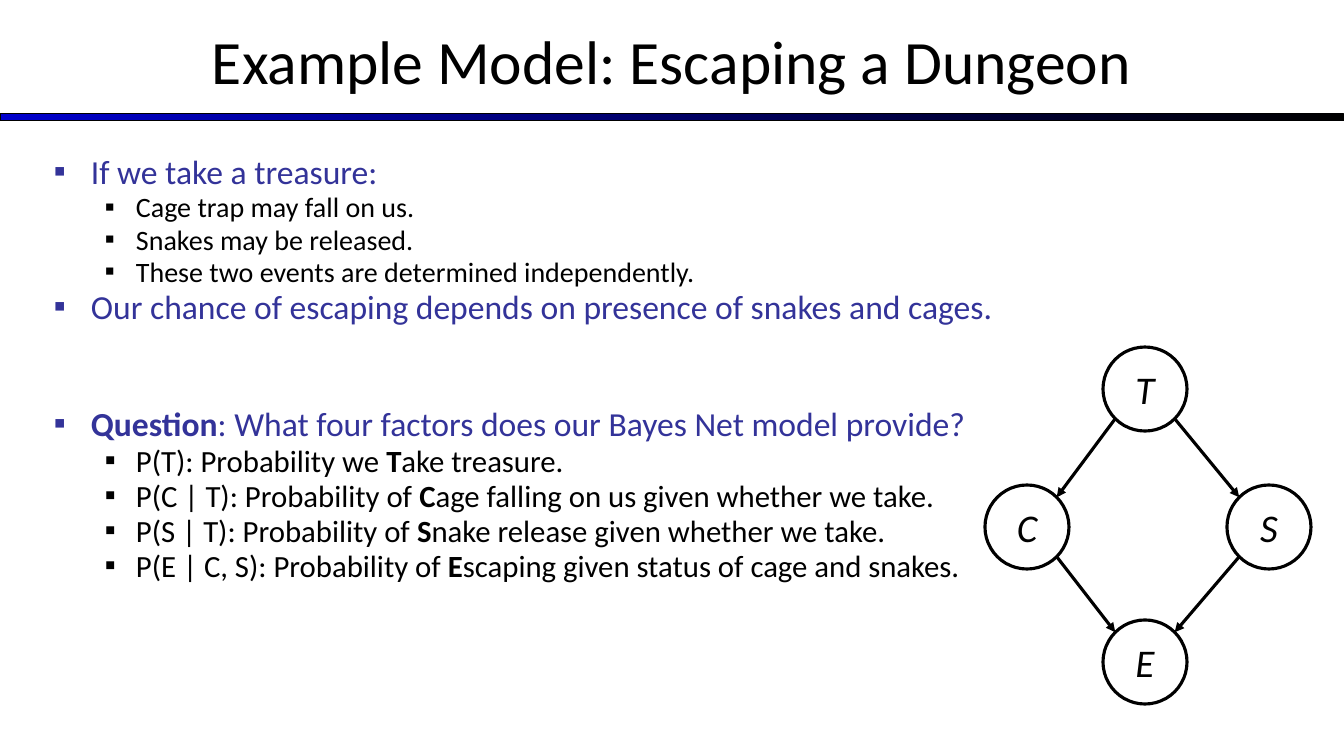
from dataclasses import dataclass
from math import sqrt

from lxml.etree import SubElement
from pptx import Presentation
from pptx.dml.color import RGBColor
from pptx.enum.shapes import MSO_CONNECTOR, MSO_SHAPE
from pptx.enum.text import MSO_ANCHOR, PP_ALIGN
from pptx.oxml.ns import qn
from pptx.util import Pt

TITLE = "Example Model: Escaping a Dungeon"
BULLETS = [
    ("point", ["If we take a treasure:"]),
    ("event", ["Cage trap may fall on us."]),
    ("event", ["Snakes may be released."]),
    ("event", ["These two events are determined independently."]),
    ("point", ["Our chance of escaping depends on presence of snakes and cages."]),
    ("question", ["", "Question", ": What four factors does our Bayes Net model provide?"]),
    ("factor", ["P(T): Probability we ", "T", "ake treasure."]),
    ("factor", ["P(C | T): Probability of ", "C", "age falling on us given whether we take."]),
    ("factor", ["P(S | T): Probability of ", "S", "nake release given whether we take."]),
    ("factor", ["P(E | C, S): Probability of ", "E", "scaping given status of cage and snakes."]),
]
NODES = {"E": (1145, 662), "T": (1145, 389), "S": (1269, 527), "C": (1027, 527)}
EDGES = ["TS", "TC", "CE", "SE"]
NODE_SIZE = 84


@dataclass(frozen=True)
class Theme:
    font: str = "Calibri"
    black: RGBColor = RGBColor(0, 0, 0)
    white: RGBColor = RGBColor(255, 255, 255)
    blue: RGBColor = RGBColor(0, 0, 0xCC)
    indigo: RGBColor = RGBColor(0x33, 0x33, 0x99)
    title: int = 44
    node: int = 28
    line: float = 2.25


THEME = Theme()
STYLES = {
    "point": dict(level=0, size=24, color=THEME.indigo, margin=37, hang=37, before=4.5),
    "question": dict(level=0, size=24, color=THEME.indigo, margin=37, hang=37, before=60.5),
    "event": dict(level=1, size=20, color=THEME.black, margin=82, hang=31, before=3.75),
    "factor": dict(level=1, size=22, color=THEME.black, margin=82, hang=31, before=4),
}


def px(value):
    return round(value * 914400 / 100.8)


def assign(target, **values):
    for name, value in values.items():
        setattr(target, name, value)


def write(para, text, size, color, **extra):
    span = para.add_run()
    span.text = text
    assign(span.font, name=THEME.font, size=Pt(size), **extra)
    span.font.color.rgb = color


def place(shape, left, top, width, height):
    assign(shape, left=px(left), top=px(top), width=px(width), height=px(height))


def add_bar(page):
    bar = page.shapes.add_shape(MSO_SHAPE.RECTANGLE, 0, px(114), px(1344), px(7))
    bar.shadow.inherit = False
    bar.fill.gradient()
    bar.fill.gradient_angle = 0
    for stop, color in zip(bar.fill.gradient_stops, (THEME.blue, THEME.black)):
        stop.color.rgb = color
    bar.line.color.rgb = THEME.black
    bar.line.width = Pt(0.75)


def add_title(page):
    title = page.shapes.title
    place(title, 0, -3, 1344, 126)
    assign(title.text_frame, vertical_anchor=MSO_ANCHOR.MIDDLE, word_wrap=True)
    para = title.text_frame.paragraphs[0]
    para.alignment = PP_ALIGN.CENTER
    write(para, TITLE, THEME.title, THEME.black)


def add_node(page, name, center):
    left, top = (value - NODE_SIZE / 2 for value in center)
    node = page.shapes.add_shape(
        MSO_SHAPE.OVAL, px(left), px(top), px(NODE_SIZE), px(NODE_SIZE))
    node.shadow.inherit = False
    node.fill.solid()
    node.fill.fore_color.rgb = THEME.white
    node.line.color.rgb = THEME.black
    node.line.width = Pt(THEME.line)
    assign(node.text_frame, vertical_anchor=MSO_ANCHOR.MIDDLE, word_wrap=False)
    para = node.text_frame.paragraphs[0]
    para.alignment = PP_ALIGN.CENTER
    write(para, name, THEME.node, THEME.black, italic=True)


def add_edge(page, parent, child):
    (x1, y1), (x2, y2) = NODES[parent], NODES[child]
    reach = NODE_SIZE / 2 / sqrt(2)
    side = reach if x2 > x1 else -reach
    edge = page.shapes.add_connector(
        MSO_CONNECTOR.STRAIGHT,
        px(x1 + side), px(y1 + reach), px(x2 - side), px(y2 - reach))
    edge.line.color.rgb = THEME.black
    edge.line.width = Pt(THEME.line)
    SubElement(edge.line._get_or_add_ln(), qn("a:tailEnd"), type="triangle")
    SubElement(edge._element.spPr, qn("a:effectLst"))


def add_bullet(para, style):
    props = para._p.get_or_add_pPr()
    props.set("marL", str(px(style["margin"])))
    props.set("indent", str(-px(style["hang"])))
    color = SubElement(props, qn("a:buClr"))
    SubElement(color, qn("a:srgbClr"), val=str(style["color"]))
    SubElement(props, qn("a:buFont"), typeface=THEME.font)
    SubElement(props, qn("a:buChar"), char="▪")


def add_body(page):
    box = page.shapes.add_textbox(px(44), px(154), px(1254), px(521))
    frame = box.text_frame
    frame.word_wrap = True
    for index, (kind, parts) in enumerate(BULLETS):
        style = STYLES[kind]
        para = frame.add_paragraph() if index else frame.paragraphs[0]
        add_bullet(para, style)
        assign(para, level=style["level"], line_spacing=0.8,
               space_before=Pt(style["before"] if index else 0))
        for position, text in enumerate(parts):
            if text:
                write(para, text, style["size"], style["color"], bold=position == 1)


def main():
    deck = Presentation()
    assign(deck, slide_width=px(1344), slide_height=px(756))
    page = deck.slides.add_slide(deck.slide_layouts[5])
    add_bar(page)
    add_title(page)
    for name, center in NODES.items():
        add_node(page, name, center)
    for parent, child in EDGES:
        add_edge(page, parent, child)
    add_body(page)
    deck.save("out.pptx")


if __name__ == "__main__":
    main()
